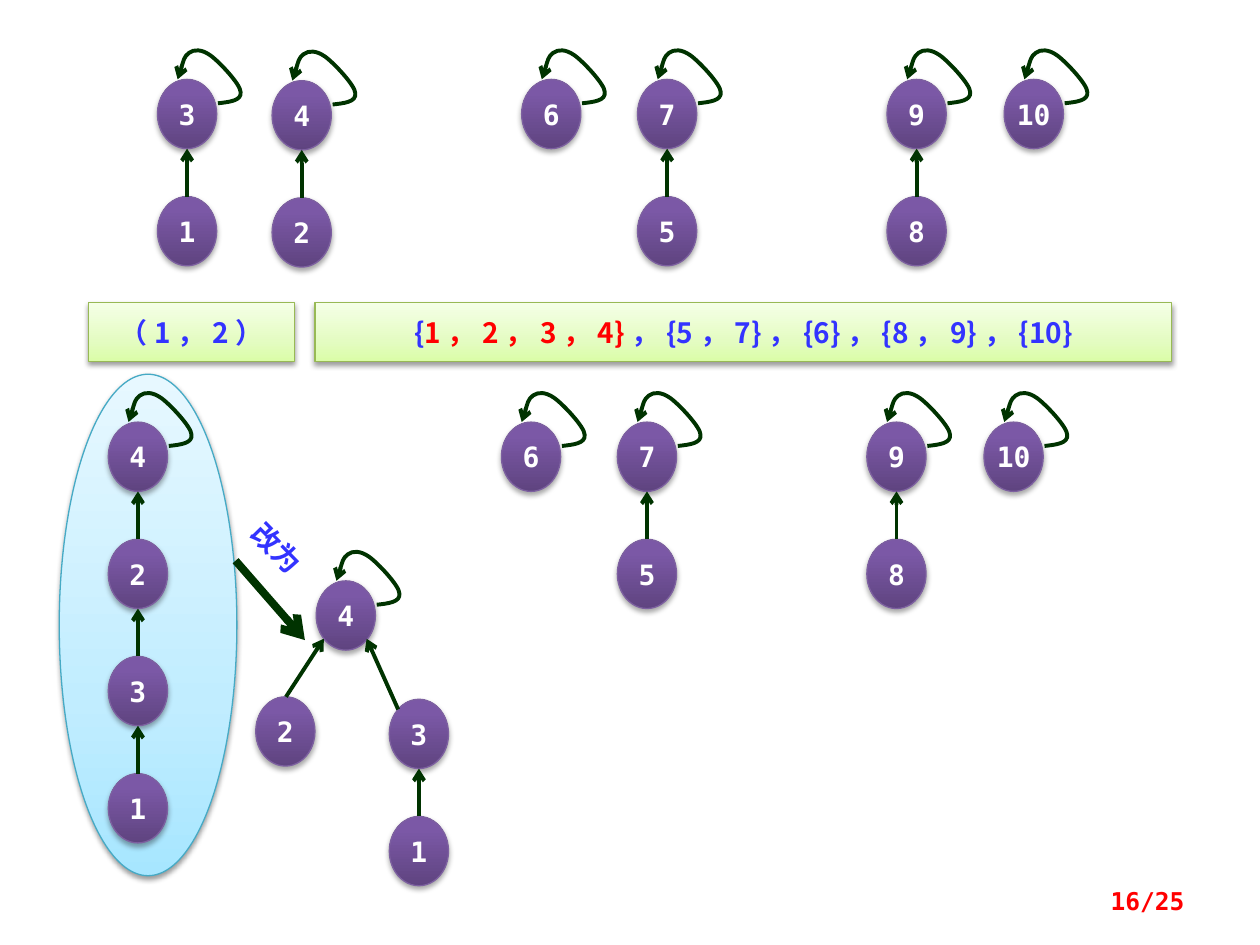
from lxml import etree
from pptx import Presentation
from pptx.dml.color import RGBColor
from pptx.enum.shapes import MSO_CONNECTOR, MSO_SHAPE
from pptx.enum.text import MSO_ANCHOR, PP_ALIGN
from pptx.oxml import parse_xml
from pptx.oxml.ns import qn
from pptx.util import Inches, Pt

LINE, OVAL, RECT = MSO_CONNECTOR.STRAIGHT, MSO_SHAPE.OVAL, MSO_SHAPE.RECTANGLE
MID, CENTER, RIGHT = MSO_ANCHOR.MIDDLE, PP_ALIGN.CENTER, PP_ALIGN.RIGHT
WHITE = RGBColor(255, 255, 255)
RED = RGBColor(255, 0, 0)
BLUE = RGBColor(0x33, 0x33, 0xFF)
GREEN = RGBColor(0, 0x33, 0)
MONO, SANS = "DejaVu Sans Mono", "Noto Sans CJK SC"
NS = 'xmlns:a="http://schemas.openxmlformats.org/drawingml/2006/main"'

NODE = dict(stops=((0, "5F4480"), (80, "7B58A6"), (100, "7C57A8")),
            edge=RGBColor(0x7D, 0x60, 0xA0), alpha=35, dist=1.8)
SKY = dict(stops=((0, "A7E6FF"), (35, "C1EDFF"), (100, "E7F8FF")),
           edge=RGBColor(0x46, 0xAA, 0xC5), alpha=38, dist=1.6)
LIME = dict(stops=((0, "DAFDA7"), (35, "E4FCC2"), (100, "F5FFE7")),
            edge=RGBColor(0x98, 0xB9, 0x55), alpha=38, dist=1.6)

WIDE, TALL, STEP = 0.47, 0.55, 0.93
SHARED = [(3.98, ["6"]), (4.9, ["7", "5"]), (6.88, ["9", "8"]), (7.81, ["10"])]
ROOTS = [(2.51, 4.61, ["4"]), (0.86, 3.35, ["4", "2", "3", "1"]),
         (1.25, 0.63, ["3", "1"]), (2.16, 0.64, ["4", "2"])]
ROOTS += [(x + dx, y, names) for dx, y in ((0, 3.35), (0.16, 0.63))
          for x, names in SHARED]
BRANCHES = [(2.03, 5.53, ["2"]), (3.09, 5.55, ["3", "1"])]
LINKS = [((2.27, 5.53), (2.57, 5.07), 2.25), ((3.16, 5.63), (2.91, 5.07), 2.25),
         ((1.87, 4.45), (2.42, 5.08), 4.5)]
LOOP = [(48, 19), (57, 18), (67, 17), (66, 10), (66, 4), (49, -14), (42, -19),
        (35, -24), (29, -24), (25, -21), (21, -18), (19, -9), (16, 0)]
BARS = [((0.7, 2.4, 1.64, 0.47), [("（1，2）", BLUE)]),
        ((2.5, 2.4, 6.8, 0.47), [("{", BLUE), ("1，2，3，4}", RED),
                                 ("，{5，7}，{6}，{8，9}，{10}", BLUE)])]

prs = Presentation()
prs.slide_width, prs.slide_height = Inches(10), Inches(7.5)
slide = prs.slides.add_slide(prs.slide_layouts[6])
shapes = slide.shapes


def write(shape, runs, face, size=16, align=CENTER, **frame):
    text = shape.text_frame
    for key, value in dict(word_wrap=True, vertical_anchor=MID, **frame).items():
        setattr(text, key, value)
    para = text.paragraphs[0]
    para.alignment = align
    for words, color in runs:
        run = para.add_run()
        run.text = words
        for key, value in dict(name=face, size=Pt(size), bold=True).items():
            setattr(run.font, key, value)
        run.font.color.rgb = color
        ea = etree.SubElement(run.font._element, qn("a:ea"))
        ea.set("typeface", face)


def solid(kind, box, style):
    shape = shapes.add_shape(kind, *map(Inches, box))
    shape.fill.background()
    shape.line.color.rgb, shape.line.width = style["edge"], Pt(0.75)
    shape.shadow.inherit = False
    props = shape._element.spPr
    stops = "".join(f'<a:gs pos="{pos * 1000}"><a:srgbClr val="{color}"/></a:gs>'
                    for pos, color in style["stops"])
    props.replace(props.find(qn("a:noFill")), parse_xml(
        f'<a:gradFill {NS}><a:gsLst>{stops}</a:gsLst>'
        '<a:lin ang="16200000" scaled="0"/></a:gradFill>'))
    props.find(qn("a:effectLst")).append(parse_xml(
        f'<a:outerShdw {NS} blurRad="{Pt(3.1)}" dist="{Pt(style["dist"])}" '
        'dir="5400000" rotWithShape="0"><a:srgbClr val="000000">'
        f'<a:alpha val="{style["alpha"] * 1000}"/></a:srgbClr></a:outerShdw>'))
    return shape


def arrow(shape, width=2.25):
    shape.line.color.rgb, shape.line.width = GREEN, Pt(width)
    props = shape._element.spPr
    tip = etree.SubElement(props.find(qn("a:ln")), qn("a:tailEnd"))
    tip.set("type", "arrow")
    if props.find(qn("a:effectLst")) is None:
        etree.SubElement(props, qn("a:effectLst"))


def link(start, end, width=2.25):
    arrow(shapes.add_connector(LINE, *map(Inches, start + end)), width)


def loop(x, y):
    dots = [(round(x * 100) + dx, round(y * 100) + dy) for dx, dy in LOOP]
    pen = shapes.build_freeform(*dots[0], scale=Inches(0.01))
    pen.add_line_segments(dots[1:], close=False)
    shape = pen.convert_to_shape()
    shape.fill.background()
    shape.shadow.inherit = False
    trace = shape._element.spPr.find(".//" + qn("a:path"))
    legs = trace.findall(qn("a:lnTo"))
    for i in range(0, len(legs), 3):
        curve = etree.SubElement(trace, qn("a:cubicBezTo"))
        for leg in legs[i:i + 3]:
            curve.append(leg[0])
            trace.remove(leg)
    arrow(shape)


def chain(x, y, names):
    mid = x + WIDE / 2
    for row, name in enumerate(names):
        top = y + row * STEP
        node = solid(OVAL, (x, top, WIDE, TALL), NODE)
        write(node, [(name, WHITE)], MONO, margin_left=0, margin_right=0)
        if row:
            link((mid, top), (mid, top - STEP + TALL))


solid(OVAL, (0.47, 2.97, 1.41, 3.98), SKY)
for box, runs in BARS:
    write(solid(RECT, box, LIME), runs, SANS)
for x, y, names in ROOTS:
    chain(x, y, names)
    loop(x, y)
for branch in BRANCHES:
    chain(*branch)
for ends in LINKS:
    link(*ends)

note = shapes.add_textbox(*map(Inches, (1.77, 4.16, 0.86, 0.37)))
note.rotation = 45.6
write(note, [("改为", BLUE)], SANS)
page = shapes.add_textbox(*map(Inches, (7.17, 6.95, 2.33, 0.4)))
write(page, [("16/25", RED)], MONO, 14, RIGHT)

prs.save("out.pptx")
